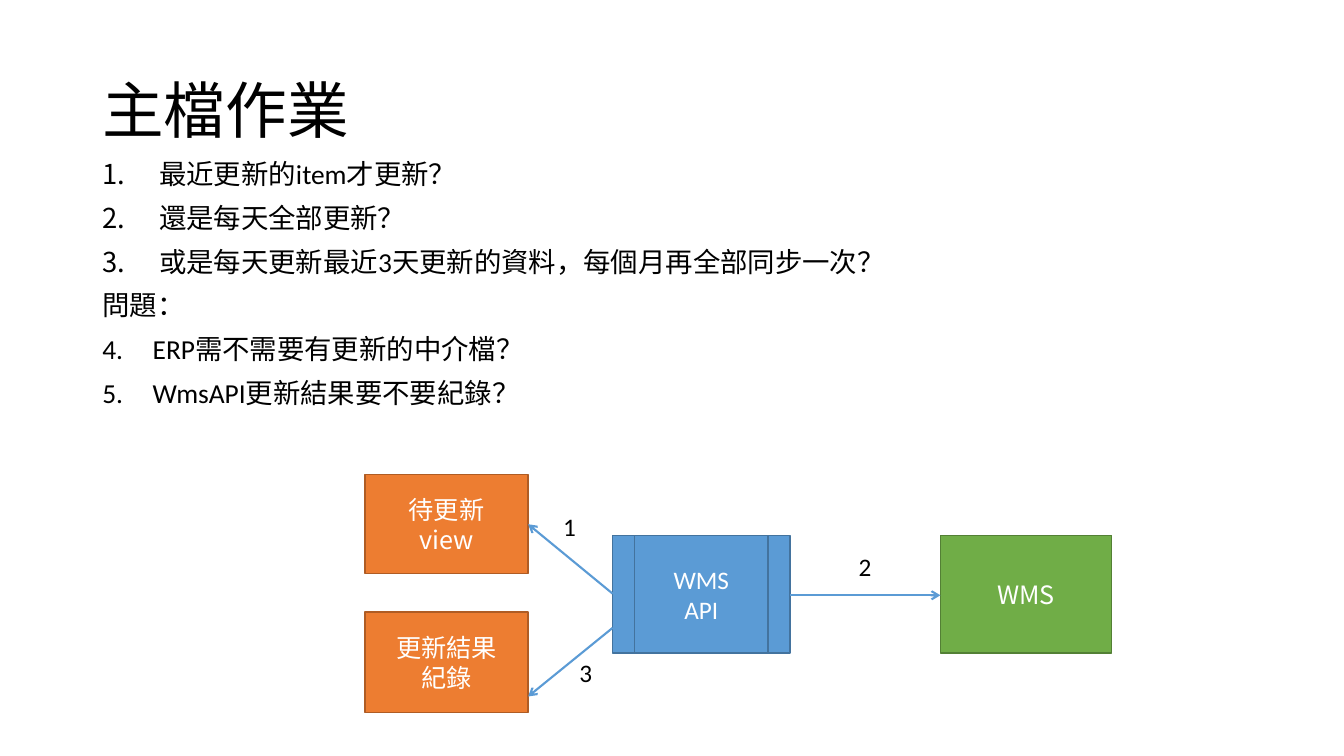
from pptx import Presentation
from pptx.dml.color import RGBColor
from pptx.enum.shapes import MSO_CONNECTOR as CONN, MSO_SHAPE as SHAPE
from pptx.enum.text import MSO_ANCHOR as ANCHOR, PP_ALIGN as ALIGN
from pptx.oxml.ns import qn
from pptx.util import Cm, Pt
from lxml import etree

COLORS = {
    "text": "000000", "white": "FFFFFF",
    "orange": "ED7D31", "orange_line": "AF5C24",
    "blue": "5B9BD5", "blue_line": "43739E",
    "green": "70AD47", "green_line": "538035",
}
LATIN, CJK = "Calibri", "Noto Sans CJK SC"


def color(name):
    return RGBColor.from_string(COLORS[name])


def write(tf, lines, size, font=LATIN, fill="text", align=ALIGN.LEFT):
    tf.text = "\n".join(lines)
    for p in tf.paragraphs:
        p.alignment = align
        for r in p.runs:
            r.font.size, r.font.name = Pt(size), font
            r.font.color.rgb = color(fill)


prs = Presentation()
prs.slide_width, prs.slide_height = Cm(33.87), Cm(19.05)
s = prs.slides.add_slide(prs.slide_layouts[6])

# Title
tf = s.shapes.add_textbox(Cm(2.33), Cm(1.01), Cm(29.21), Cm(3.68)).text_frame
tf.word_wrap, tf.vertical_anchor = True, ANCHOR.MIDDLE
write(tf, ["主檔作業"], 44)
tf.paragraphs[0].line_spacing = 0.9

# Numbered questions: text, indent in cm (0 = no number), first number of its list
questions = [
    ("最近更新的item才更新？", 1.43, 1),
    ("還是每天全部更新？", 1.43, 1),
    ("或是每天更新最近3天更新的資料，每個月再全部同步一次？", 1.43, 1),
    ("問題：", 0, None),
    ("ERP需不需要有更新的中介檔？", 1.27, 4),
    ("WmsAPI更新結果要不要紀錄？", 1.27, 4),
]
tf = s.shapes.add_textbox(Cm(2.33), Cm(3.94), Cm(29.21), Cm(7.04)).text_frame
tf.word_wrap = True
write(tf, [text for text, _, _ in questions], 19.6)
for p, (_, indent, start) in zip(tf.paragraphs, questions):
    p.line_spacing, p.space_before = 0.9, Pt(10)
    if indent:
        pPr = p._p.get_or_add_pPr()
        pPr.set("marL", str(Cm(indent)))
        pPr.set("indent", str(-Cm(indent)))
        etree.SubElement(pPr, qn("a:buFont"), typeface=LATIN)
        etree.SubElement(pPr, qn("a:buAutoNum"), type="arabicPeriod", startAt=str(start))

# Boxes of the data flow
boxes = [
    (SHAPE.RECTANGLE, 9.2, 11.96, 4.11, 2.5, "orange", CJK, ["待更新", "view"]),
    (SHAPE.RECTANGLE, 9.2, 15.42, 4.11, 2.54, "orange", CJK, ["更新結果", "紀錄"]),
    (SHAPE.FLOWCHART_PREDEFINED_PROCESS, 15.44, 13.49, 4.47, 2.97, "blue", LATIN, ["WMS", "API"]),
    (SHAPE.RECTANGLE, 23.7, 13.49, 4.32, 2.97, "green", CJK, ["WMS"]),
]
for kind, x, y, w, h, fill, font, lines in boxes:
    sp = s.shapes.add_shape(kind, Cm(x), Cm(y), Cm(w), Cm(h))
    sp.shadow.inherit = False
    sp.fill.solid()
    sp.fill.fore_color.rgb = color(fill)
    sp.line.color.rgb = color(fill + "_line")
    sp.line.width = Pt(1)
    sp.text_frame.vertical_anchor = ANCHOR.MIDDLE
    write(sp.text_frame, lines, 18, font, "white", ALIGN.CENTER)

# Arrows leaving the API box, each with its step number
steps = [
    ("1", (15.44, 14.96), (13.31, 13.21), (13.94, 12.75)),
    ("2", (19.91, 15), (23.7, 15), (21.39, 13.77)),
    ("3", (15.44, 15.82), (13.31, 17.55), (14.35, 16.43)),
]
for number, start, end, label in steps:
    line = s.shapes.add_connector(CONN.STRAIGHT, *map(Cm, start + end))
    line.line.color.rgb = color("blue")
    line.line.width = Pt(1.5)
    etree.SubElement(line.line._get_or_add_ln(), qn("a:tailEnd"), type="arrow")
    etree.SubElement(line._element.spPr, qn("a:effectLst"))

    tf = s.shapes.add_textbox(*map(Cm, label), Cm(0.86), Cm(1.02)).text_frame
    tf.word_wrap = False
    write(tf, [number], 18)

prs.save("out.pptx")
